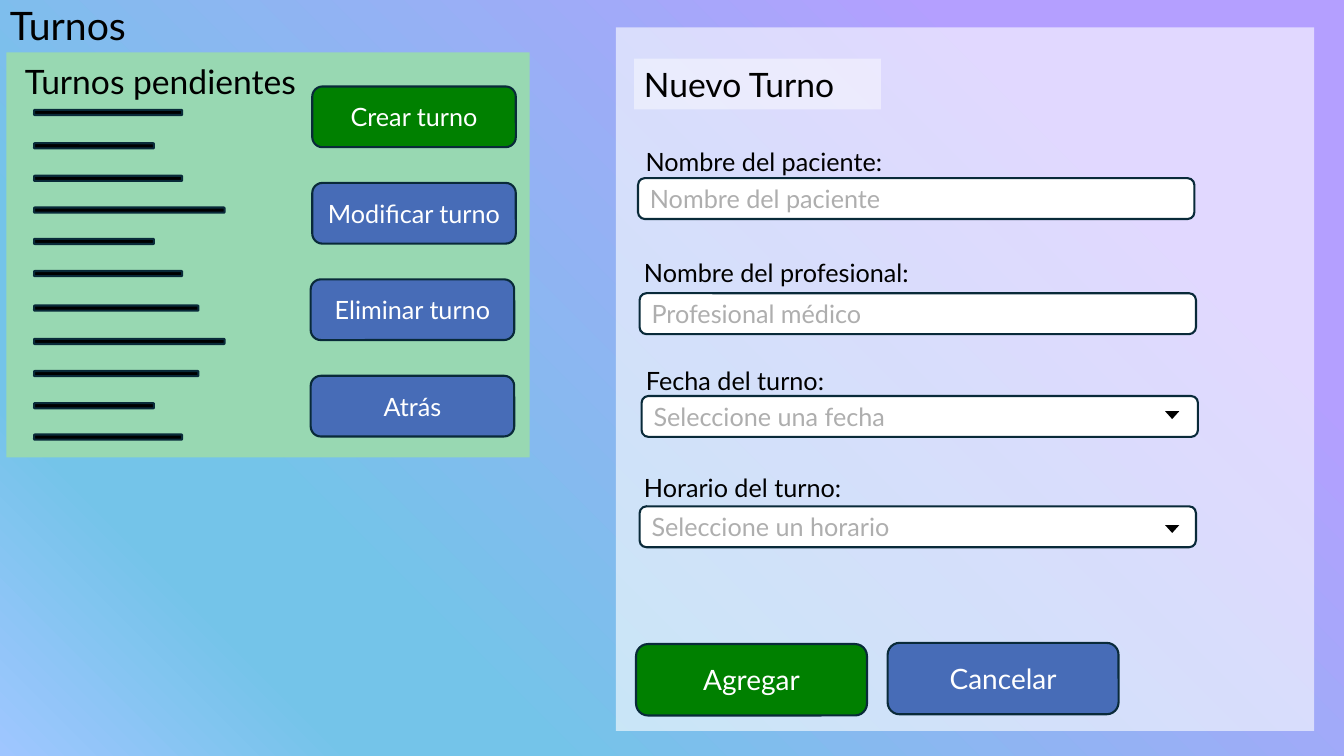
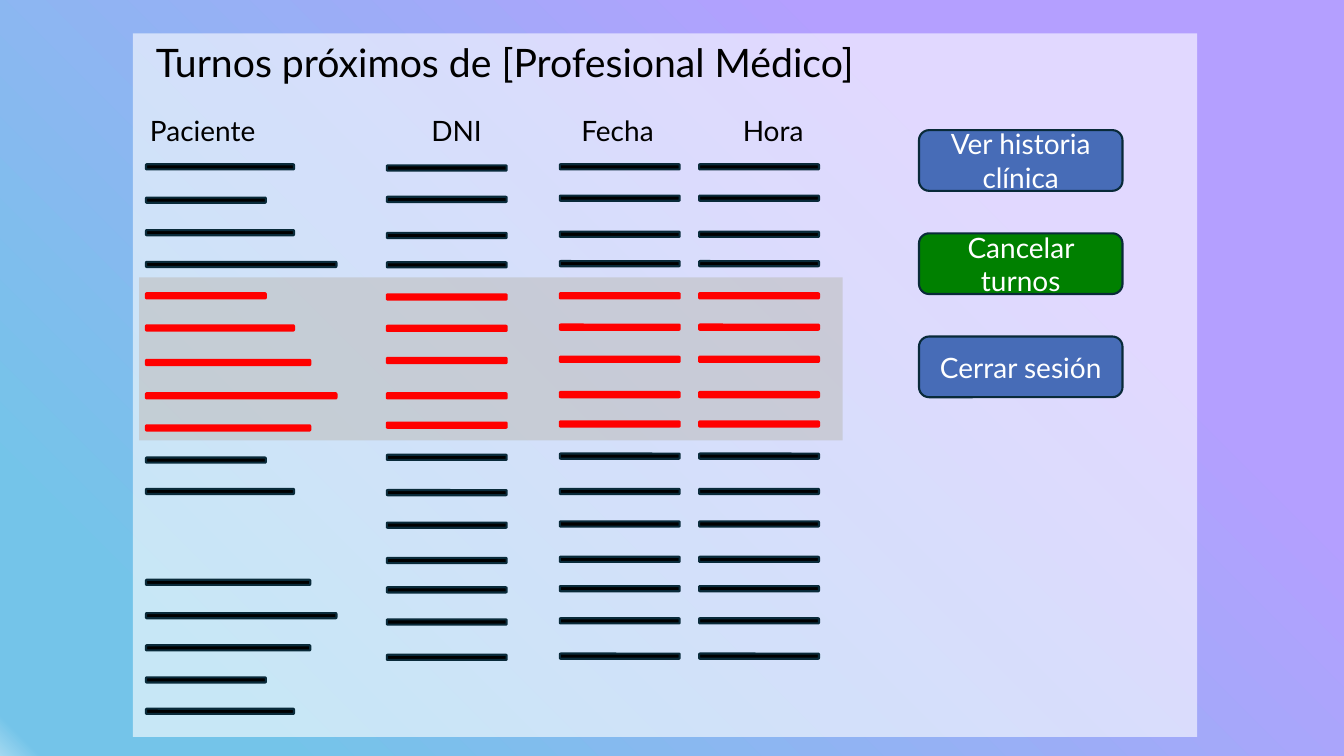
"""Builds two appointment screens of a clinic: booking a slot and listing the next ones."""
from lxml.etree import SubElement
from pptx import Presentation
from pptx.dml.color import RGBColor
from pptx.enum.shapes import MSO_SHAPE as Preset
from pptx.enum.text import MSO_ANCHOR as Anchor, MSO_AUTO_SIZE as AutoSize, PP_ALIGN as Align
from pptx.oxml.ns import qn
from pptx.util import Cm, Pt

FONT = "Lato"
BLACK = RGBColor(0x00, 0x00, 0x00)
WHITE = RGBColor(0xFF, 0xFF, 0xFF)
INK = RGBColor(0x09, 0x2A, 0x39)
GREEN = RGBColor(0x00, 0x80, 0x00)
BLUE = RGBColor(0x47, 0x6C, 0xB7)
RED = RGBColor(0xFF, 0x00, 0x00)
MINT = RGBColor(0x98, 0xD8, 0xB2)
GREY = RGBColor(0xBF, 0xBF, 0xBF)
HINT = RGBColor(0xAE, 0xAE, 0xAE)
PURPLE = RGBColor(0xB4, 0x9F, 0xFF)
SKY = RGBColor(0x74, 0xC4, 0xE9)
PERIWINKLE = RGBColor(0x9F, 0xC6, 0xFF)
PALE_SKY = RGBColor(0xA2, 0xD8, 0xF0)

SHORT, MEDIUM, LONG, FULL = 3.02, 3.73, 4.14, 4.8
NAME_WIDTHS = [MEDIUM, SHORT, MEDIUM, FULL, SHORT, MEDIUM, LONG, FULL, LONG, SHORT, MEDIUM]
NAME_OFFSETS = [0, 0.84, 1.66, 2.46, 3.25, 4.06, 4.93, 5.77, 6.58, 7.39, 8.18]
DATA_OFFSETS = [0, 0.79, 1.7, 2.44, 3.25, 4.04, 4.85, 5.74, 6.48, 7.29, 8.18]
TAIL = 6
NAME_TAIL_SHIFT, DATA_TAIL_SHIFT = 5.54, 4.15
CANCELLED = range(4, 9)


def add_page(deck, stops):
    """Add a blank slide with a diagonal gradient of (percent, colour) stops."""
    page = deck.slides.add_slide(deck.slide_layouts[6])
    fill = page.background.fill
    fill.gradient()
    fill.gradient_angle = 225
    stop_list = page.element.find(".//" + qn("a:gsLst"))
    stop_list.clear()
    for percent, color in stops:
        stop = SubElement(stop_list, qn("a:gs"), pos=str(percent * 1000))
        SubElement(stop, qn("a:srgbClr"), val=str(color))
    return page


def write(box, text, size=18, color=BLACK, align=Align.LEFT, anchor=Anchor.TOP):
    """Put one formatted line of text in a box."""
    frame = box.text_frame
    frame.word_wrap = True
    frame.vertical_anchor = anchor
    para = frame.paragraphs[0]
    para.alignment = align
    span = para.add_run()
    span.text = text
    span.font.name = FONT
    span.font.size = Pt(size)
    span.font.color.rgb = color


def add_label(page, text, left, top, width, height, size=18):
    """Add a plain text box."""
    box = page.shapes.add_textbox(Cm(left), Cm(top), Cm(width), Cm(height))
    write(box, text, size=size)
    box.text_frame.auto_size = AutoSize.SHAPE_TO_FIT_TEXT


def add_box(page, preset, left, top, width, height, fill, line=None, opacity=100):
    """Add a filled shape, with an optional outline and transparency."""
    box = page.shapes.add_shape(preset, Cm(left), Cm(top), Cm(width), Cm(height))
    box.shadow.inherit = False
    box.fill.solid()
    box.fill.fore_color.rgb = fill
    if opacity < 100:
        tint = box.element.spPr.find(".//" + qn("a:srgbClr"))
        SubElement(tint, qn("a:alpha"), val=str(opacity * 1000))
    if line is None:
        box.line.fill.background()
    else:
        box.line.color.rgb = line
        box.line.width = Pt(1.5)
    return box


def add_button(page, text, left, top, width=5.13, height=1.53, fill=BLUE, size=18):
    """Add a rounded button with centred white text."""
    box = add_box(page, Preset.ROUNDED_RECTANGLE, left, top, width, height, fill, INK)
    write(box, text, size=size, color=WHITE, align=Align.CENTER, anchor=Anchor.MIDDLE)


def add_field(page, label, hint, label_at, box_at, arrow_top=None):
    """Add a form field with its label, and a drop-down arrow when a top is given."""
    box = add_box(page, Preset.ROUNDED_RECTANGLE, *box_at, 14.02, 1.03, WHITE, INK)
    write(box, hint, color=HINT, anchor=Anchor.MIDDLE)
    add_label(page, label, *label_at, 10.67, 1.03)
    if arrow_top is not None:
        arrow = add_box(page, Preset.ISOSCELES_TRIANGLE, 29.36, arrow_top, 0.36, 0.2, BLACK)
        arrow.rotation = 180


def add_bar(page, left, top, width, fill=BLACK, line=INK):
    """Add a thin bar that stands for a line of data."""
    add_box(page, Preset.ROUNDED_RECTANGLE, left, top, width, 0.13, fill, line)


def add_column(page, left, top, offsets, widths):
    """Add a column of bars, with the cancelled rows in red."""
    for row, (offset, width) in enumerate(zip(offsets, widths)):
        colors = (RED, RED) if row in CANCELLED else (BLACK, INK)
        add_bar(page, left, top + offset, width, *colors)


def with_tail(offsets, shift):
    """Repeat the last rows of a column further down."""
    return offsets + [offset + shift for offset in offsets[TAIL:]]


def build_booking(deck):
    """Build the screen with pending appointments and the booking form."""
    page = add_page(deck, [(19, PURPLE), (74, SKY), (83, SKY), (100, PERIWINKLE)])
    add_label(page, "Turnos", 0, -0.1, 13.59, 1.45, size=28)
    add_box(page, Preset.RECTANGLE, 0.16, 1.32, 13.19, 10.21, MINT)
    add_label(page, "Turnos pendientes", 0.38, 1.4, 7.44, 1.28, size=24)
    for offset, width in zip(NAME_OFFSETS, NAME_WIDTHS):
        add_bar(page, 0.86, 2.77 + offset, width)
    buttons = [("Crear turno", 7.87, GREEN), ("Modificar turno", 7.87, BLUE),
               ("Eliminar turno", 7.83, BLUE), ("Atrás", 7.83, BLUE)]
    for index, (text, left, fill) in enumerate(buttons):
        add_button(page, text, left, 2.18 + index * 2.43, fill=fill)

    add_box(page, Preset.RECTANGLE, 15.52, 0.69, 17.6, 17.73, WHITE, opacity=60)
    heading = add_box(page, Preset.RECTANGLE, 15.98, 1.48, 6.22, 1.28, WHITE, opacity=45)
    write(heading, "Nuevo Turno", size=24)
    add_field(page, "Nombre del paciente:", "Nombre del paciente", (16.02, 3.56), (16.08, 4.49))
    add_field(page, "Nombre del profesional:", "Profesional médico", (15.98, 6.35), (16.12, 7.39))
    add_field(page, "Fecha del turno:", "Seleccione una fecha", (16.03, 9.08), (16.17, 9.98), 10.36)
    add_field(page, "Horario del turno:", "Seleccione un horario", (15.98, 11.78), (16.12, 12.76), 13.23)
    for text, left, top, fill in [("Agregar", 16.03, 16.23, GREEN), ("Cancelar", 22.37, 16.2, BLUE)]:
        add_button(page, text, left, top, width=5.82, height=1.8, fill=fill, size=20)


def build_agenda(deck):
    """Build the screen with the next appointments of one professional."""
    page = add_page(deck, [(25, PURPLE), (87, SKY), (98, SKY), (100, PALE_SKY)])
    add_box(page, Preset.RECTANGLE, 3.35, 0.84, 26.82, 17.73, WHITE, opacity=60)
    add_box(page, Preset.RECTANGLE, 3.51, 6.99, 17.73, 4.11, GREY, opacity=60)
    add_label(page, "Turnos próximos de [Profesional Médico]", 3.68, 0.84, 18.36, 1.45, size=28)
    headers = [("Paciente", 3.53, 3.2), ("DNI", 10.62, 2.18), ("Fecha", 14.4, 2.74), ("Hora", 18.47, 2.18)]
    for text, left, width in headers:
        add_label(page, text, left, 2.74, width, 1.11, size=20)

    names = with_tail(NAME_OFFSETS, NAME_TAIL_SHIFT)
    add_column(page, 3.68, 4.14, names, NAME_WIDTHS + NAME_WIDTHS[TAIL:])
    data = with_tail(DATA_OFFSETS, DATA_TAIL_SHIFT)
    for left, top in [(9.75, 4.17), (14.11, 4.14), (17.62, 4.14)]:
        add_column(page, left, top, data, [SHORT] * len(data))

    buttons = [("Ver historia clínica", BLUE), ("Cancelar turnos", GREEN), ("Cerrar sesión", BLUE)]
    for index, (text, fill) in enumerate(buttons):
        add_button(page, text, 23.16, 3.28 + index * 2.6, fill=fill, size=20)


def main():
    """Build and save the deck."""
    deck = Presentation()
    deck.slide_width, deck.slide_height = Cm(33.87), Cm(19.05)
    build_booking(deck)
    build_agenda(deck)
    deck.save("out.pptx")


if __name__ == "__main__":
    main()
